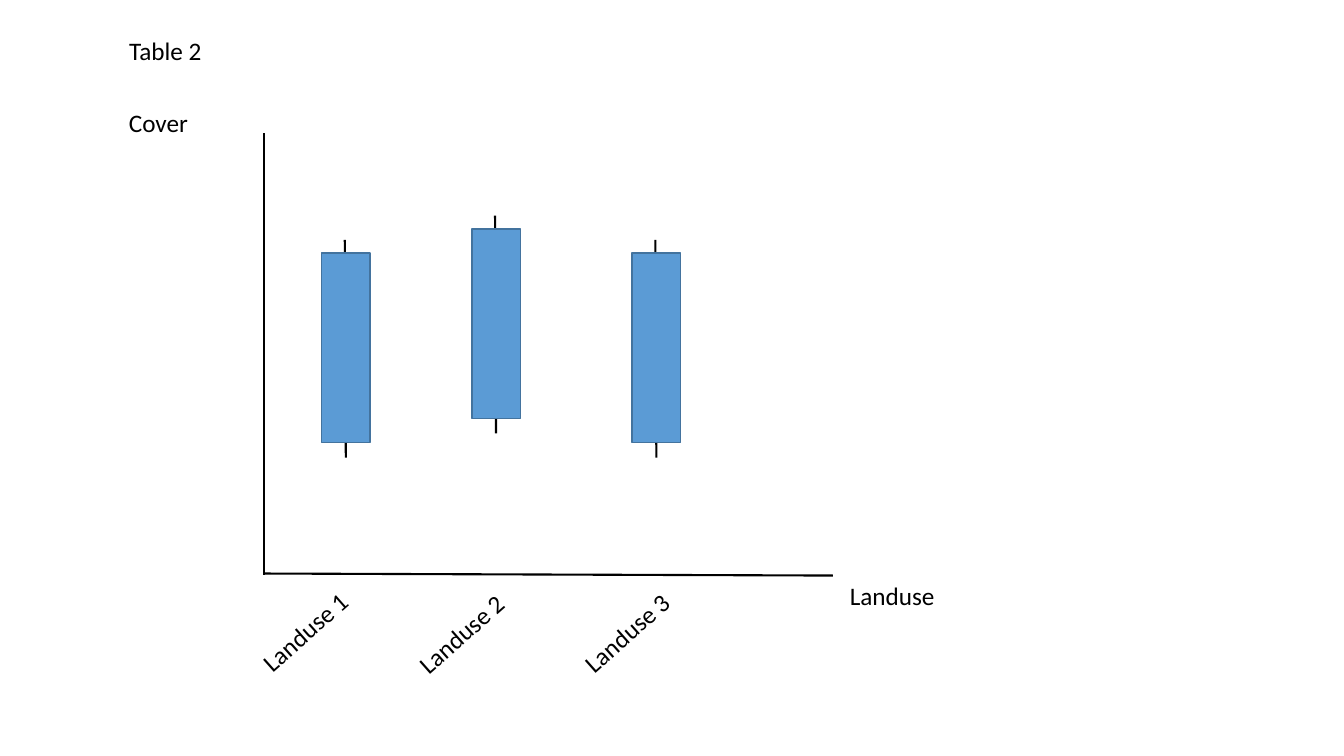
from pptx import Presentation
from pptx import util as u
from pptx.dml.color import RGBColor
from pptx.enum import shapes, text
from pptx.oxml.ns import qn
from lxml import etree

# Content: heading, axis names, and each box with its label
HEADING = ("Table 2", 1.18, 0.3, 0.93)
AXIS_NAMES = [("Landuse", 8.33, 5.71, 1.05), ("Cover", 1.18, 1.02, 0.79)]
AXES = [(2.62, 1.32, 2.62, 5.7), (8.26, 5.71, 2.62, 5.69)]
# label, box left, box top, label left, label top, label width
LANDUSES = [
    ("Landuse 1", 3.19, 2.51, 2.41, 6.06, 1.24),
    ("Landuse 2", 4.68, 2.27, 3.96, 6.08, 1.24),
    ("Landuse 3", 6.27, 2.51, 5.59, 6.04, 1.33),
]
BOX_W, BOX_H = 0.48, 1.88
WHISKER_X, WHISKER_RISE, WHISKER_H = 0.23, 0.13, 2.16
TEXT_H = 0.4
LABEL_ANGLE = 318.5
BLACK, BLUE, DARK_BLUE = "000000", "5B9BD5", "43739E"

prs = Presentation()
prs.slide_width, prs.slide_height = u.Inches(13.33), u.Inches(7.5)
slide = prs.slides.add_slide(prs.slide_layouts[5])


def color(value):
    return RGBColor.from_string(value)


def place(*lengths):
    return [u.Inches(length) for length in lengths]


def line(x1, y1, x2, y2):
    stroke = slide.shapes.add_connector(
        shapes.MSO_CONNECTOR.STRAIGHT, *place(x1, y1, x2, y2))
    stroke.line.color.rgb = color(BLACK)
    stroke.line.width = u.Pt(1.5)
    etree.SubElement(stroke._element.spPr, qn("a:effectLst"))


def write(holder, words, wrap=False):
    frame = holder.text_frame
    frame.text = words
    frame.word_wrap = wrap
    frame.auto_size = text.MSO_AUTO_SIZE.SHAPE_TO_FIT_TEXT
    frame.vertical_anchor = text.MSO_ANCHOR.TOP
    paragraph = frame.paragraphs[0]
    paragraph.alignment = text.PP_ALIGN.LEFT
    paragraph.font.name = "Calibri"
    paragraph.font.size = u.Pt(18)
    paragraph.font.color.rgb = color(BLACK)


def label(words, left, top, width, angle=0, wrap=False):
    holder = slide.shapes.add_textbox(*place(left, top, width, TEXT_H))
    holder.rotation = angle
    write(holder, words, wrap)


# Heading
words, left, top, width = HEADING
heading = slide.shapes.title
heading.left, heading.top, heading.width, heading.height = place(
    left, top, width, TEXT_H)
write(heading, words)

# Axes and their names
for axis in AXES:
    line(*axis)
for name in AXIS_NAMES:
    label(*name)

# Whisker behind each box, slanted label below the axis
for words, left, top, label_left, label_top, label_width in LANDUSES:
    x, y = left + WHISKER_X, top - WHISKER_RISE
    line(x, y, x + 0.01, y + WHISKER_H)
    box = slide.shapes.add_shape(
        shapes.MSO_SHAPE.RECTANGLE, *place(left, top, BOX_W, BOX_H))
    box.shadow.inherit = False
    box.fill.solid()
    box.fill.fore_color.rgb = color(BLUE)
    box.line.color.rgb = color(DARK_BLUE)
    box.line.width = u.Pt(1)
    label(words, label_left, label_top, label_width, LABEL_ANGLE, wrap=True)

prs.save("out.pptx")
